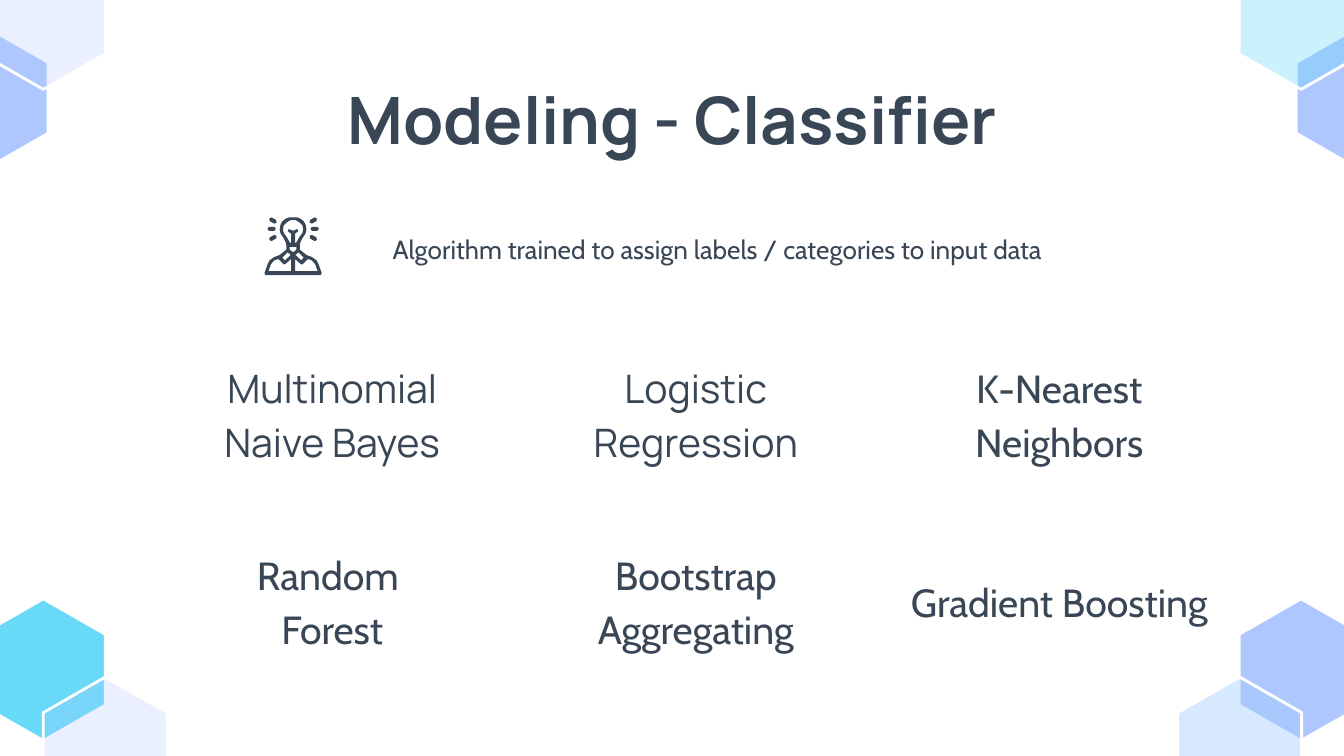
import math

import pptx
import pptx.dml.color
import pptx.enum.text
import pptx.oxml.ns
import pptx.util
from lxml import etree

Cm = pptx.util.Cm
Pt = pptx.util.Pt
RGBColor = pptx.dml.color.RGBColor
Anchor = pptx.enum.text.MSO_ANCHOR

INK = RGBColor(0x38, 0x46, 0x55)
WHITE = RGBColor(0xFF, 0xFF, 0xFF)
LAVENDER = RGBColor(0xAF, 0xC7, 0xFF)
SKY = RGBColor(0x9F, 0xCB, 0xFD)
CYAN = RGBColor(0x68, 0xDA, 0xF8)

TITLE = "Modeling - Classifier"
DEFINITION = "Algorithm trained to assign labels / categories to input data"
CLASSIFIERS = [
    [("Multinomial Naive Bayes", "Manrope"), ("Logistic Regression", "Manrope"),
     ("K-Nearest Neighbors", "Cabin")],
    [("Random \nForest", "Cabin"), ("Bootstrap Aggregating", "Cabin"),
     ("Gradient Boosting", "Cabin")],
]
GRID_LEFT, GRID_TOP, COLUMN_STEP, ROW_STEP = 3.13, 7.09, 6.87, 3.53
CELL_WIDTH, CELL_HEIGHT = 6.3, 1.37

HEXAGON_WIDTH, HEXAGON_HEIGHT = 2.34, 2.68
HEXAGONS = [
    (23.42, 11.32, LAVENDER, 100),
    (24.5, 0.51, LAVENDER, 100),
    (22.26, 12.8, SKY, 41),
    (23.42, -0.99, CYAN, 34),
    (-0.35, 11.32, CYAN, 100),
    (-1.43, 0.51, LAVENDER, 100),
    (0.82, 12.8, LAVENDER, 25),
    (-0.35, -0.99, LAVENDER, 25),
]

ICON_AXIS, ICON_TOP, ICON_UNIT = 5.54, 4.11, 0.0254
FIGURE_HALF = [(3, 0), (5.5, 1), (8, 3), (9.5, 6), (10, 9), (9.3, 12), (7, 15.5),
               (5.5, 18.5), (5, 21), (5, 24), (10, 28), (14, 29.5), (17.5, 32),
               (19, 35), (21.3, 41.5), (20.5, 43)]
BULB_HALF = [(2, 2), (5, 4), (7, 6), (7.5, 9), (7, 11.5), (4.5, 15), (2.8, 18),
             (2.3, 19), (1.5, 19), (1.5, 12), (4, 10.3), (3.2, 8.7), (0, 10)]
NECK_HALF = [(2.5, 22), (2.5, 24), (0, 26)]
LAPEL = [(4, 26), (8, 30), (6, 32), (1.8, 28)]
COAT = [(1.5, 31), (6, 35), (7, 35), (11, 31), (14, 32), (16.5, 35), (18.3, 40),
        (1.5, 40)]
RAYS = [(16, 8.5, 0), (15, 15.3, 30), (15, 2.3, -30)]
RAY_OUTLINE = [(-3.1, 0), (-2, -1.5), (2, -1.5), (3.1, 0), (2, 1.5), (-2, 1.5)]


def add_text(page, text, place, font, size, anchor, spacing=1.0, bold=False):
    box = page.shapes.add_textbox(*map(Cm, place))
    frame = box.text_frame
    frame_format = {"word_wrap": True, "vertical_anchor": anchor}
    for side in ("left", "right", "top", "bottom"):
        frame_format["margin_" + side] = Cm(0.25)
    for name, value in frame_format.items():
        setattr(frame, name, value)
    frame.text = text
    for para in frame.paragraphs:
        para.alignment = pptx.enum.text.PP_ALIGN.CENTER
        para.line_spacing = spacing
        for span in para.runs:
            for name, value in {"name": font, "size": Pt(size), "bold": bold}.items():
                setattr(span.font, name, value)
            span.font.color.rgb = INK


def add_outlines(page, outlines, color):
    contours = [[(Cm(x), Cm(y)) for x, y in points] for points in outlines]
    builder = page.shapes.build_freeform(*contours[0][0], scale=1.0)
    builder.add_line_segments(contours[0][1:])
    for contour in contours[1:]:
        builder.move_to(*contour[0])
        builder.add_line_segments(contour[1:])
    shape = builder.convert_to_shape()
    shape.shadow.inherit = False
    shape.fill.solid()
    shape.fill.fore_color.rgb = color
    return shape


def add_hexagon(page, left, top, color, opacity):
    corners = [(0.5, 0), (1, 0.25), (1, 0.75), (0.5, 1), (0, 0.75), (0, 0.25)]
    points = [(left + x * HEXAGON_WIDTH, top + y * HEXAGON_HEIGHT) for x, y in corners]
    shape = add_outlines(page, [points], color)
    shape.line.color.rgb = WHITE
    shape.line.width = Pt(1.5)
    if opacity < 100:
        fill = shape.fill._xPr.find(pptx.oxml.ns.qn("a:solidFill"))
        etree.SubElement(fill[0], pptx.oxml.ns.qn("a:alpha"), val=str(opacity * 1000))


def icon_points(points, side=1):
    return [(ICON_AXIS + side * x * ICON_UNIT, ICON_TOP + y * ICON_UNIT)
            for x, y in points]


def symmetric(half):
    return icon_points(half) + icon_points(reversed(half), -1)


def ray_points(x, y, degrees):
    cosine, sine = math.cos(math.radians(degrees)), math.sin(math.radians(degrees))
    return [(x + along * cosine - across * sine, y + along * sine + across * cosine)
            for along, across in RAY_OUTLINE]


def add_idea_icon(page):
    figure = [symmetric(half) for half in (FIGURE_HALF, BULB_HALF, NECK_HALF)]
    for side in (1, -1):
        figure += [icon_points(LAPEL, side), icon_points(COAT, side)]
        for ray in RAYS:
            shape = add_outlines(page, [icon_points(ray_points(*ray), side)], INK)
            shape.line.fill.background()
    add_outlines(page, figure, INK).line.fill.background()


def main():
    deck = pptx.Presentation()
    deck.slide_width, deck.slide_height = Cm(25.4), Cm(14.29)
    page = deck.slides.add_slide(deck.slide_layouts[6])
    for hexagon in HEXAGONS:
        add_hexagon(page, *hexagon)
    add_text(page, TITLE, (2, 1.24, 21.42, 1.6), "Manrope", 35, Anchor.TOP, bold=True)
    add_text(page, DEFINITION, (6.08, 4.08, 14.96, 1.2), "Cabin", 14, Anchor.TOP, 1.15)
    add_idea_icon(page)
    for row, names in enumerate(CLASSIFIERS):
        for column, (name, font) in enumerate(names):
            place = (GRID_LEFT + column * COLUMN_STEP, GRID_TOP + row * ROW_STEP,
                     CELL_WIDTH, CELL_HEIGHT)
            add_text(page, name, place, font, 21, Anchor.MIDDLE, 1.15)
    deck.save("out.pptx")


if __name__ == "__main__":
    main()
